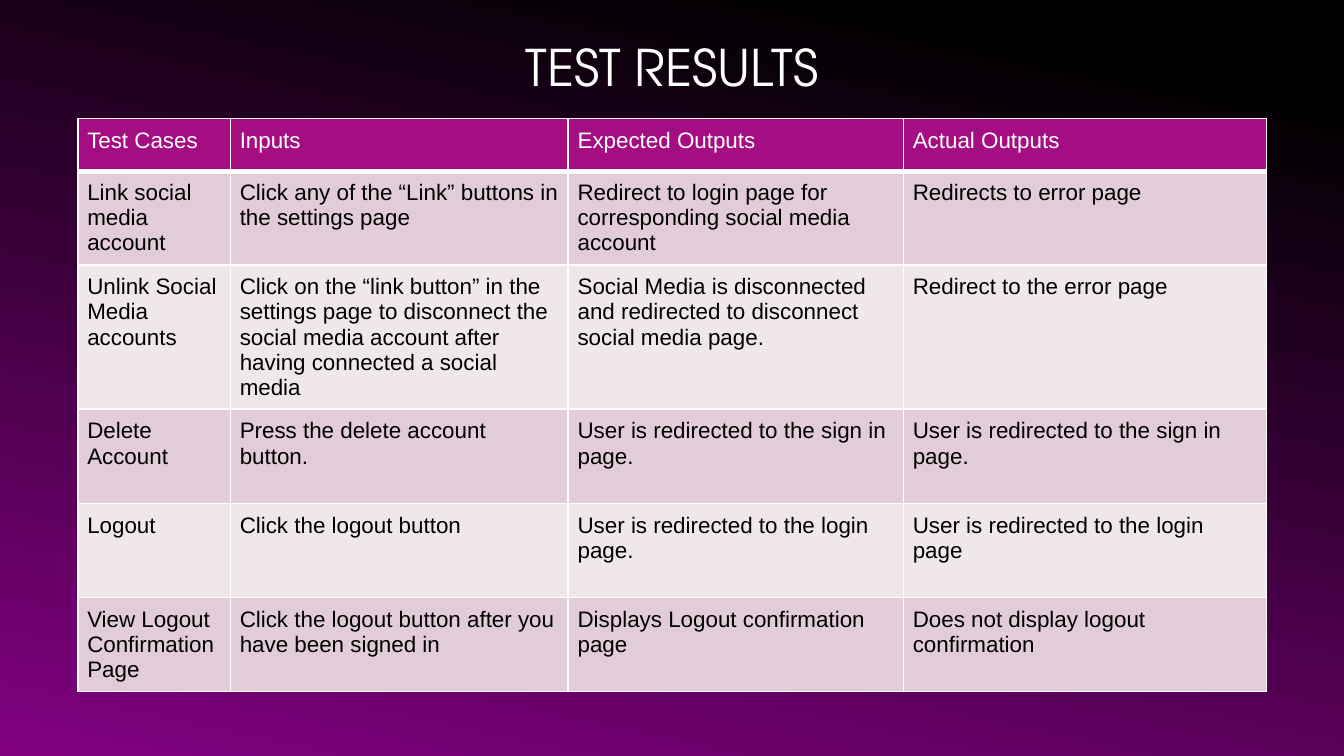
from pptx import Presentation
from pptx.dml.color import RGBColor
from pptx.enum.text import MSO_ANCHOR, MSO_AUTO_SIZE, PP_ALIGN
from pptx.oxml.ns import qn
from pptx.util import Pt
from lxml.etree import SubElement

TITLE = "TEST RESULTS"
ROWS = [
    ("Test Cases", "Inputs", "Expected Outputs", "Actual Outputs"),
    ("Link social media account",
     "Click any of the “Link” buttons in the settings page",
     "Redirect to login page for corresponding social media account",
     "Redirects to error page"),
    ("Unlink Social Media accounts",
     "Click on the “link button” in the settings page to disconnect the "
     "social media account after having connected a social media",
     "Social Media is disconnected and redirected to disconnect social media page.",
     "Redirect to the error page"),
    ("Delete Account",
     "Press the delete account button.",
     "User is redirected to the sign in page.",
     "User is redirected to the sign in page."),
    ("Logout",
     "Click the logout button",
     "User is redirected to the login page.",
     "User is redirected to the login page"),
    ("View Logout Confirmation Page",
     "Click the logout button after you have been signed in",
     "Displays Logout confirmation page",
     "Does not display logout confirmation"),
]

THEME = {
    "title_font": "TeX Gyre Adventor", "title_size": 27,
    "body_font": "Arial", "body_size": 12,
    "light": "FFFFFF", "dark": "000000", "glow": "810081",
    "header": "A50E82", "bands": ("E1CCD8", "F0E7ED"),
}
PAGE_SIZE = (720, 405)
TITLE_BOX = (30.24, 2.88, 659.52, 64.8)
TABLE_LEFT, TABLE_TOP = 41.76, 63.5
COLUMN_WIDTHS = (81.7, 181, 179.6, 194.4)
HEADER_HEIGHT, ROW_HEIGHT = 28.2, 50.4
CELL_INSET = 5
RULE, HEADER_RULE = 1, 3


def color(name):
    return RGBColor.from_string(name)


def write(frame, text, *, font, size, ink, align=PP_ALIGN.LEFT):
    frame.word_wrap = True
    para = frame.paragraphs[0]
    para.alignment = align
    span = para.add_run()
    span.text = text
    span.font.name = font
    span.font.size = Pt(size)
    span.font.color.rgb = color(ink)


def set_borders(cell, **widths):
    properties = cell._tc.get_or_add_tcPr()
    for side in ("L", "R", "T", "B"):
        line = SubElement(properties, qn(f"a:ln{side}"), w=str(Pt(widths.get(side, RULE))))
        fill = SubElement(line, qn("a:solidFill"))
        SubElement(fill, qn("a:srgbClr"), val=THEME["light"])


def paint_background(page):
    fill = page.background.fill
    fill.gradient()
    fill.gradient_angle = 258
    stops = ((0.1, THEME["dark"]), (1, THEME["glow"]))
    for stop, (position, shade) in zip(fill.gradient_stops, stops):
        stop.position = position
        stop.color.rgb = color(shade)


def add_title(page):
    box = page.shapes.title
    box.left, box.top, box.width, box.height = map(Pt, TITLE_BOX)
    frame = box.text_frame
    frame.auto_size = MSO_AUTO_SIZE.NONE
    frame.vertical_anchor = MSO_ANCHOR.MIDDLE
    write(frame, TITLE, font=THEME["title_font"], size=THEME["title_size"],
          ink=THEME["light"], align=PP_ALIGN.CENTER)


def format_cell(cell, text, row_index):
    is_header = row_index == 0
    cell.margin_left = cell.margin_right = Pt(CELL_INSET)
    cell.margin_top = cell.margin_bottom = Pt(CELL_INSET)
    set_borders(cell, T=HEADER_RULE if row_index == 1 else RULE,
                B=HEADER_RULE if is_header else RULE)
    cell.fill.solid()
    shade = THEME["header"] if is_header else THEME["bands"][(row_index - 1) % 2]
    cell.fill.fore_color.rgb = color(shade)
    write(cell.text_frame, text, font=THEME["body_font"], size=THEME["body_size"],
          ink=THEME["light"] if is_header else THEME["dark"])


def add_results(page):
    heights = [HEADER_HEIGHT] + [ROW_HEIGHT] * (len(ROWS) - 1)
    table = page.shapes.add_table(
        len(ROWS), len(COLUMN_WIDTHS), Pt(TABLE_LEFT), Pt(TABLE_TOP),
        Pt(sum(COLUMN_WIDTHS)), Pt(sum(heights))).table
    for column, width in zip(table.columns, COLUMN_WIDTHS):
        column.width = Pt(width)
    for row_index, (row, height, texts) in enumerate(zip(table.rows, heights, ROWS)):
        row.height = Pt(height)
        for cell, text in zip(row.cells, texts):
            format_cell(cell, text, row_index)


def main():
    deck = Presentation()
    deck.slide_width, deck.slide_height = map(Pt, PAGE_SIZE)
    page = deck.slides.add_slide(deck.slide_layouts[5])
    paint_background(page)
    add_title(page)
    add_results(page)
    deck.save("out.pptx")


if __name__ == "__main__":
    main()
